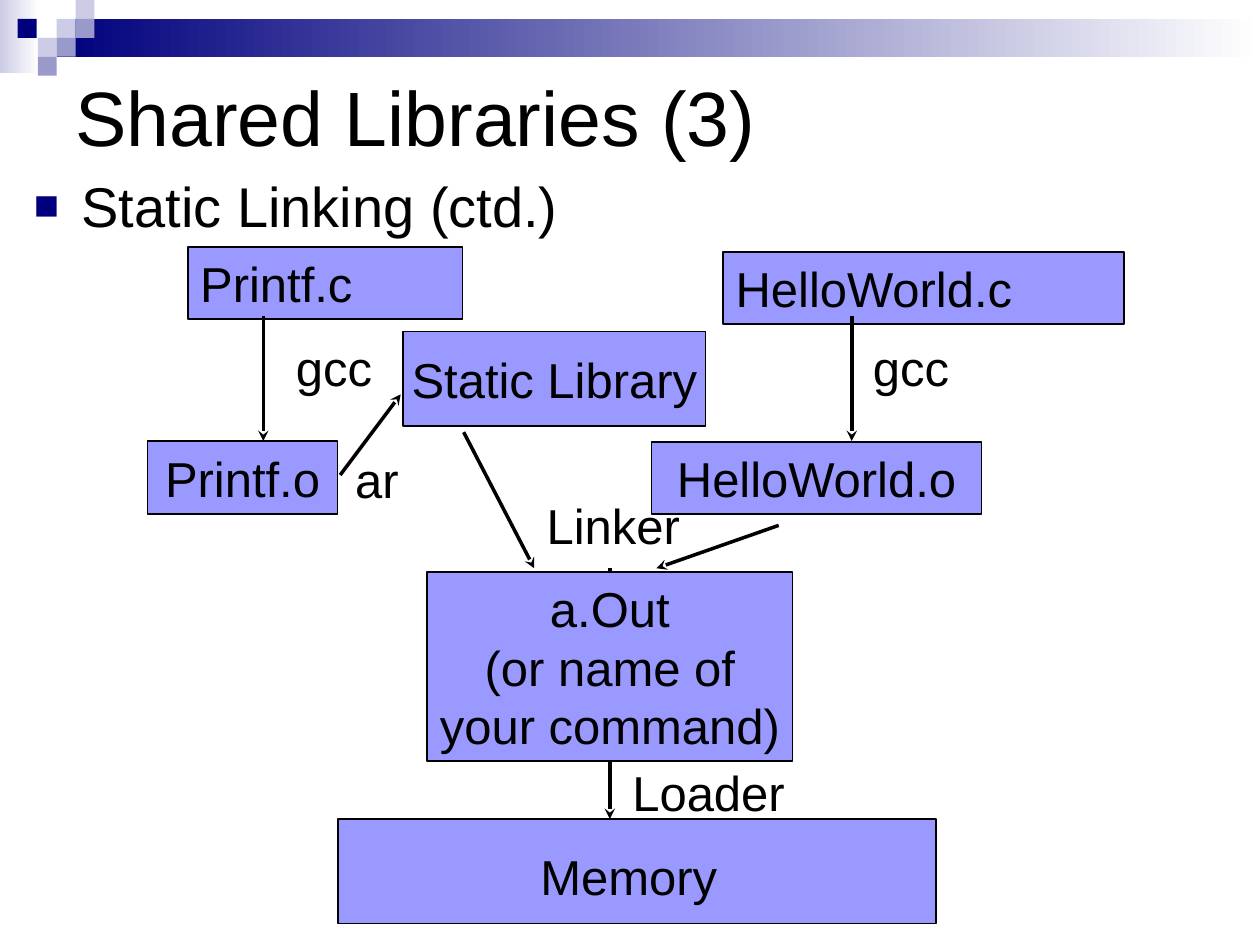
from lxml import etree
from pptx import Presentation
from pptx.dml.color import RGBColor
from pptx.enum.shapes import MSO_CONNECTOR, MSO_SHAPE
from pptx.enum.text import MSO_ANCHOR, PP_ALIGN
from pptx.oxml.ns import qn
from pptx.util import Emu, Pt

PX = 9144  # 100 px to the inch
RECT, LINE = MSO_SHAPE.RECTANGLE, MSO_CONNECTOR.STRAIGHT
LEFT, MID = PP_ALIGN.LEFT, PP_ALIGN.CENTER
TOP, CENTER = MSO_ANCHOR.TOP, MSO_ANCHOR.MIDDLE

BLACK, WHITE, NAVY = "000000", "FFFFFF", "00007D"
PALE, MAUVE, BOX = "CCCCE6", "9999CC", "9999FF"

BANDS = [((0, 0, 31, 58), PALE), ((45, 15, 955, 30), NAVY)]
TILE = 15
TILES = [(45, 15, PALE), (60, 0, PALE), (60, 15, MAUVE), (30, 30, PALE),
         (14, 15, NAVY), (45, 30, MAUVE), (30, 45, MAUVE)]

TITLE = ("Shared Libraries (3)", (50, 50, 900, 83))
BODY = ("Static Linking (ctd.)", (17, 131, 900, 575))

MEMORY = (268, 650, 475, 83)
# text, place, wrap
LABELS = [
    ("gcc", (225, 263, 81, 57), False),
    ("ar", (272, 352, 96, 57), True),
    ("Linker", (424, 388, 193, 57), True),
    ("Memory", (419, 667, 160, 57), False),
    ("gcc", (683, 263, 81, 57), False),
    ("Loader", (492, 600, 141, 57), False),
]
# text, place, alignment
FILES = [
    ("Printf.c", (149, 196, 218, 57), LEFT),
    ("Printf.o", (117, 350, 151, 58), MID),
    ("Static Library", (320, 263, 240, 75), MID),
    ("HelloWorld.c", (574, 200, 318, 57), LEFT),
    ("HelloWorld.o", (517, 351, 262, 57), MID),
]
OUTPUT = ("a.Out\v(or name of\vyour command)", (339, 454, 290, 150), MID)
ARROWS = [
    (209, 251, 209, 350),
    (270, 377, 318, 313),
    (368, 343, 424, 451),
    (484, 451, 484, 500),
    (676, 251, 676, 350),
    (618, 417, 521, 451),
]
LOADER = (484, 604, 484, 650)


def px(nums):
    return [Emu(n * PX) for n in nums]


def rgb(code):
    return RGBColor.from_string(code)


def rect(place, fill, edge=None):
    shape = slide.shapes.add_shape(RECT, *px(place))
    shape.shadow.inherit = False
    shape.fill.solid()
    shape.fill.fore_color.rgb = rgb(fill)
    if edge:
        shape.line.color.rgb = rgb(edge)
        shape.line.width = Pt(1)
    else:
        shape.line.fill.background()
    return shape


def fade(shape, start):
    """Fill the shape from the start colour at left to white at right."""
    shape.fill.gradient()
    shape.fill.gradient_angle = 0
    for stop, code, pos in zip(shape.fill.gradient_stops, (start, WHITE), (0, 1)):
        stop.color.rgb = rgb(code)
        stop.position = pos


def write(shape, text, size=28, align=LEFT, anchor=TOP, wrap=True, bullet=False):
    frame = shape.text_frame
    frame.word_wrap = wrap
    frame.vertical_anchor = anchor
    par = frame.paragraphs[0]
    par.text = text
    par.alignment = align
    if bullet:
        mark(par)
    for run in par.runs:
        run.font.size = Pt(size)
        run.font.name = "Arial"
        run.font.color.rgb = rgb(BLACK)


def mark(par):
    """Give the paragraph a hanging square bullet."""
    props = par._p.get_or_add_pPr()
    hang = 38 * PX
    props.set("marL", str(hang))
    props.set("indent", str(-hang))
    color = etree.SubElement(props, qn("a:buClr"))
    etree.SubElement(color, qn("a:srgbClr"), val=NAVY)
    etree.SubElement(props, qn("a:buSzPct"), val="75000")
    etree.SubElement(props, qn("a:buFont"), typeface="Arial")
    etree.SubElement(props, qn("a:buChar"), char="■")


def label(text, place, **form):
    write(slide.shapes.add_textbox(*px(place)), text, **form)


def node(text, place, align):
    shape = rect(place, BOX, BLACK)
    centred = align == MID
    write(shape, text, align=align, wrap=not centred,
          anchor=CENTER if centred else TOP)
    return shape


def arrow(ends):
    line = slide.shapes.add_connector(LINE, *px(ends))
    line.line.color.rgb = rgb(BLACK)
    line.line.width = Pt(2)
    etree.SubElement(line.line._get_or_add_ln(), qn("a:tailEnd"), type="stealth")
    etree.SubElement(line._element.spPr, qn("a:effectLst"))
    return line


deck = Presentation()
deck.slide_width, deck.slide_height = px((1000, 750))
slide = deck.slides.add_slide(deck.slide_layouts[6])

for place, start in BANDS:
    fade(rect(place, start), start)
for x, y, fill in TILES:
    rect((x, y, TILE, TILE), fill)

label(*TITLE, size=44, anchor=CENTER)
label(*BODY, size=32, bullet=True)

rect(MEMORY, BOX, BLACK)
for text, place, wrap in LABELS:
    label(text, place, wrap=wrap)
for item in FILES:
    node(*item)
for ends in ARROWS:
    arrow(ends)
output = node(*OUTPUT)
arrow(LOADER).begin_connect(output, 2)

deck.save("out.pptx")
